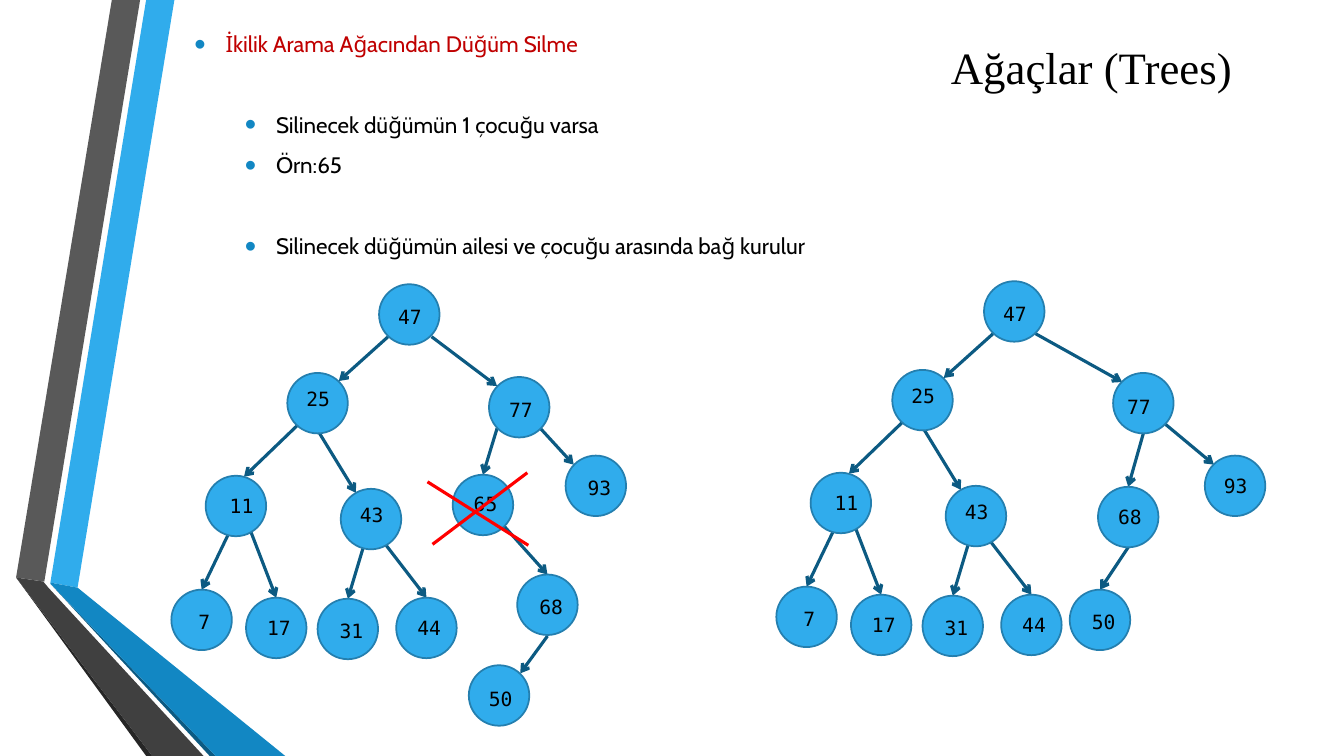
"""Build the slide on deleting a one-child node from a binary search tree."""
from lxml import etree
from pptx import Presentation
from pptx.dml.color import RGBColor
from pptx.enum.shapes import MSO_CONNECTOR, MSO_SHAPE
from pptx.enum.text import MSO_ANCHOR, PP_ALIGN
from pptx.oxml.ns import qn
from pptx.util import Inches, Pt

STRAIGHT, OVAL = MSO_CONNECTOR.STRAIGHT, MSO_SHAPE.OVAL
CENTER, JUSTIFY, MIDDLE = PP_ALIGN.CENTER, PP_ALIGN.JUSTIFY, MSO_ANCHOR.MIDDLE
COLORS = {"blue": "30ACEC", "outline": "247FAF", "edge": "0C5A82", "bullet": "1287C3",
          "gray": "595959", "charcoal": "404040", "soot": "262626",
          "heading": "C00000", "cross": "FF0000", "black": "000000"}
NODE_SIZE = 0.6

RIBBONS = [
    ("blue", [(0.5, 5.78), (0.77, 5.83), (1.73, 0), (1.45, 0)]),
    ("gray", [(1.39, 0), (1.11, 0), (0.16, 5.73), (0.44, 5.77)]),
    ("soot", [(0.16, 5.73), (1.45, 7.5), (1.51, 7.5)]),
    ("edge", [(0.5, 5.79), (2.08, 7.5), (2.14, 7.5)]),
    ("bullet", [(0.5, 5.79), (2.14, 7.5), (2.83, 7.5), (0.77, 5.83), (0.5, 5.78)]),
    ("charcoal", [(2.02, 7.5), (0.48, 5.83), (0.43, 5.77), (0.16, 5.73), (1.51, 7.5)]),
]
BULLETS = [
    ("İkilik Arama Ağacından Düğüm Silme", "heading", 0, 0.31, 0),
    ("Silinecek düğümün 1 çocuğu varsa", "black", 1, 0.81, 29),
    ("Örn:65", "black", 1, 0.81, 0),
    ("Silinecek düğümün ailesi ve çocuğu arasında bağ kurulur", "black", 1, 0.81, 29),
]

# Nodes: value, circle left and top, label left and top. Edges: start, end.
SHARED_NODES = [
    ("47", 3.76, 2.82, 3.85, 2.98), ("25", 2.85, 3.7, 2.94, 3.79),
    ("11", 2.04, 4.72, 2.18, 4.85), ("43", 3.38, 4.85, 3.47, 4.94),
    ("7", 1.7, 5.85, 1.87, 6), ("17", 2.44, 5.93, 2.55, 6.06),
    ("31", 3.15, 5.94, 3.27, 6.09), ("44", 3.93, 5.93, 4.04, 6.06),
]
SHARED_EDGES = [
    (3.85, 3.34, 3.36, 3.78), (2.95, 4.22, 2.42, 4.73), (3.17, 4.3, 3.53, 4.89),
    (2.26, 5.31, 2, 5.85), (2.49, 5.28, 2.74, 5.93),
    (3.6, 5.44, 3.45, 5.94), (3.83, 5.41, 4.23, 5.93),
]
BEFORE_NODES = [
    ("77", 4.85, 3.74, 4.95, 3.9), ("65", 4.49, 4.71, 4.6, 4.83),
    ("93", 5.61, 4.52, 5.73, 4.67), ("68", 5.13, 5.7, 5.25, 5.85),
    ("50", 4.65, 6.6, 4.75, 6.77),
]
BEFORE_EDGES = [
    (4.28, 3.34, 4.93, 3.83), (4.93, 4.25, 4.79, 4.71), (5.36, 4.25, 5.69, 4.61),
    (5, 5.22, 5.43, 5.7), (5.43, 6.31, 5.16, 6.68),
]
AFTER_NODES = [
    ("77", 11.04, 3.7, 11.08, 3.87), ("68", 10.89, 4.83, 10.99, 4.96),
    ("93", 11.95, 4.52, 12.04, 4.65), ("50", 10.61, 5.85, 10.73, 6),
]
AFTER_EDGES = [
    (10.27, 3.31, 11.13, 3.79), (11.34, 4.3, 11.19, 4.83),
    (11.56, 4.21, 12.04, 4.61), (11.19, 5.43, 10.91, 5.85),
]
AFTER_SHIFT = (6, -0.03)
CROSS = [(4.24, 4.78, 5.24, 5.41), (4.29, 5.4, 5.23, 4.69)]

deck = Presentation()
deck.slide_width, deck.slide_height = Inches(13.33), Inches(7.5)
page = deck.slides.add_slide(deck.slide_layouts[6])


def add_line(ends, color, arrow):
    line = page.shapes.add_connector(STRAIGHT, *map(Inches, ends))
    line.line.color.rgb = RGBColor.from_string(COLORS[color])
    line.line.width = Pt(2.25)
    if arrow:
        etree.SubElement(line.line._get_or_add_ln(), qn("a:tailEnd"), type="arrow")
    etree.SubElement(line._element.spPr, qn("a:effectLst"))


def write(para, text, font, size, color):
    span = para.add_run()
    span.text = text
    for name, value in {"name": font, "size": Pt(size)}.items():
        setattr(span.font, name, value)
    span.font.color.rgb = RGBColor.from_string(COLORS[color])


for color, points in RIBBONS:
    corners = [(Inches(x), Inches(y)) for x, y in points]
    outline = page.shapes.build_freeform(*corners[0], scale=1.0)
    outline.add_line_segments(corners[1:], close=True)
    ribbon = outline.convert_to_shape()
    ribbon.shadow.inherit = False
    ribbon.fill.solid()
    ribbon.fill.fore_color.rgb = RGBColor.from_string(COLORS[color])
    ribbon.line.fill.background()

title = page.shapes.add_textbox(*map(Inches, (8.44, 0.14, 4.77, 1.04))).text_frame
title.word_wrap, title.vertical_anchor = True, MIDDLE
title.paragraphs[0].alignment = CENTER
write(title.paragraphs[0], "Ağaçlar (Trees)", "Times New Roman", 32, "black")

body = page.shapes.add_textbox(*map(Inches, (1.83, 0.12, 8.22, 6.83))).text_frame
body.word_wrap = True
for index, (text, color, level, indent, gap) in enumerate(BULLETS):
    para = body.add_paragraph() if index else body.paragraphs[0]
    layout = {"alignment": JUSTIFY, "level": level, "line_spacing": 1.5, "space_before": Pt(gap)}
    for name, value in layout.items():
        setattr(para, name, value)
    write(para, text, "Cabin", 16, color)
    props = para._p.get_or_add_pPr()
    props.set("marL", str(Inches(indent)))
    props.set("indent", str(Inches(-0.31)))
    tint = etree.SubElement(props, qn("a:buClr"))
    etree.SubElement(tint, qn("a:srgbClr"), val=COLORS["bullet"])
    etree.SubElement(props, qn("a:buSzPct"), val="145000")
    etree.SubElement(props, qn("a:buFont"), typeface="Arial")
    etree.SubElement(props, qn("a:buChar"), char="•")

shift_x, shift_y = AFTER_SHIFT
moved_nodes = [(value, x + shift_x, y + shift_y, label_x + shift_x, label_y + shift_y)
               for value, x, y, label_x, label_y in SHARED_NODES]
moved_edges = [(x1 + shift_x, y1 + shift_y, x2 + shift_x, y2 + shift_y)
               for x1, y1, x2, y2 in SHARED_EDGES]
trees = [(SHARED_NODES + BEFORE_NODES, SHARED_EDGES + BEFORE_EDGES),
         (moved_nodes + AFTER_NODES, moved_edges + AFTER_EDGES)]

for nodes, edges in trees:
    for ends in edges:
        add_line(ends, "edge", True)
    for value, x, y, label_x, label_y in nodes:
        circle = page.shapes.add_shape(OVAL, *map(Inches, (x, y, NODE_SIZE, NODE_SIZE)))
        circle.shadow.inherit = False
        circle.fill.solid()
        circle.fill.fore_color.rgb = RGBColor.from_string(COLORS["blue"])
        circle.line.color.rgb = RGBColor.from_string(COLORS["outline"])
        circle.line.width = Pt(1.25)
        label = page.shapes.add_textbox(*map(Inches, (label_x, label_y, 0.45, 0.34))).text_frame
        label.word_wrap = True
        write(label.paragraphs[0], value, "DejaVu Sans Mono", 14, "black")

for ends in CROSS:
    add_line(ends, "cross", False)

deck.save("out.pptx")
